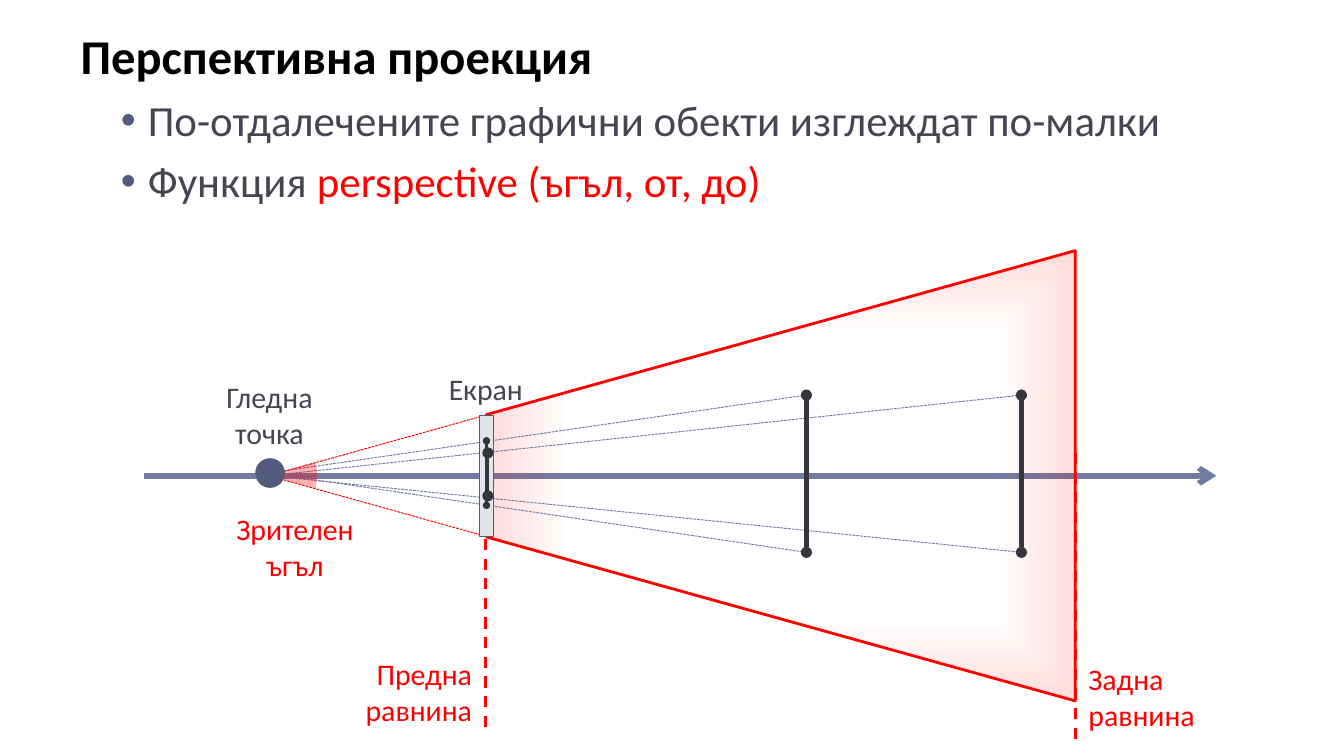
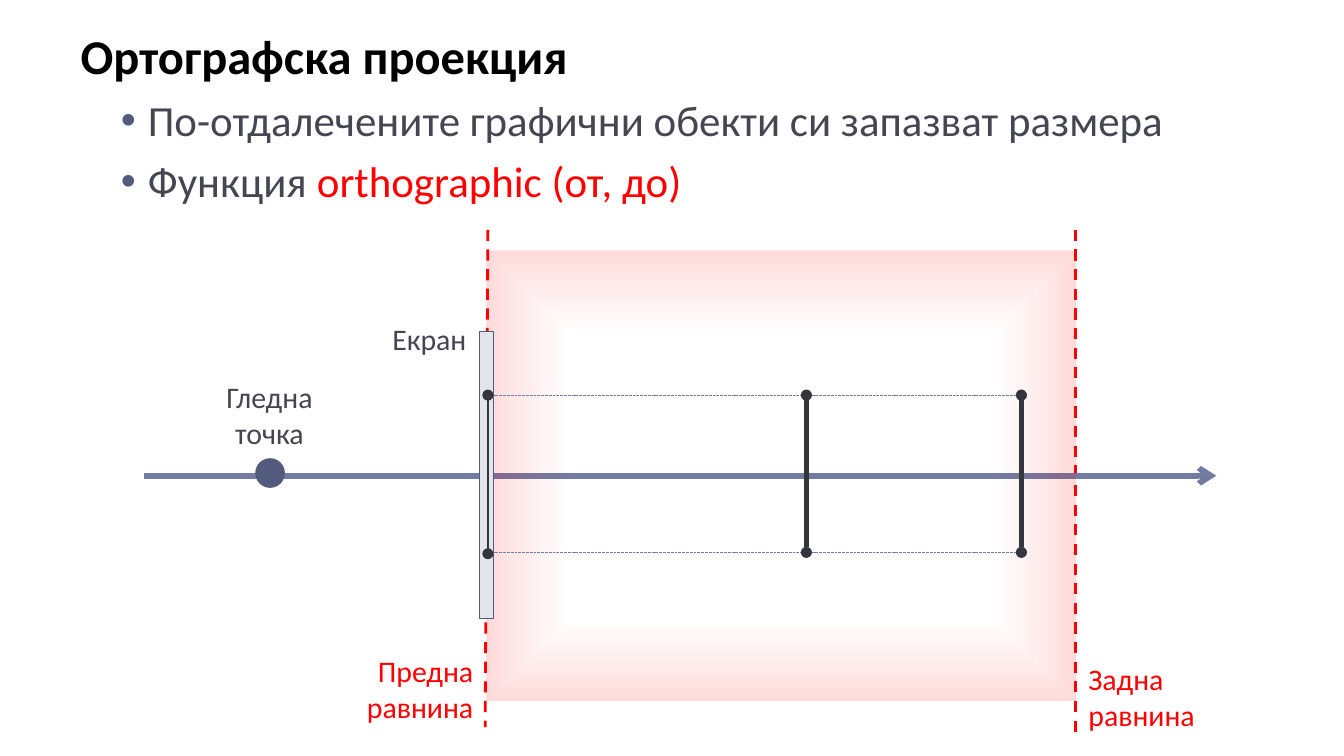
import pptx
import pptx.util
import pptx.dml.color
import pptx.enum.dml
import pptx.enum.shapes
import pptx.enum.text
import pptx.oxml
import pptx.oxml.ns
from dataclasses import dataclass
from lxml import etree

Inches = pptx.util.Inches
Pt = pptx.util.Pt
RGBColor = pptx.dml.color.RGBColor
qn = pptx.oxml.ns.qn
SHAPE = pptx.enum.shapes.MSO_SHAPE
DASH = pptx.enum.dml.MSO_LINE
ALIGN = pptx.enum.text.PP_ALIGN
ANCHOR = pptx.enum.text.MSO_ANCHOR
AUTO_SIZE = pptx.enum.text.MSO_AUTO_SIZE

FONT = "Calibri"
BLACK = RGBColor(0x00, 0x00, 0x00)
RED = RGBColor(0xFF, 0x00, 0x00)
GREY = RGBColor(0x46, 0x46, 0x53)
AXIS_BLUE = RGBColor(0x72, 0x7C, 0xA3)
EYE_BLUE = RGBColor(0x52, 0x5B, 0x7E)
EDGE_BLUE = RGBColor(0x54, 0x5C, 0x79)
SCREEN_FILL = RGBColor(0xE3, 0xE5, 0xED)
DARK = RGBColor(0x35, 0x35, 0x3E)

AXIS_Y = 2
EYE_X = 1
SCREEN_X = 2.63
FRONT_X = 2.61
BACK_X = 7
OBJECT_XS = (5, 6.6)
OBJECT_TOP, OBJECT_BOTTOM = 1.4, 2.57
VOLUME_LENGTH, VOLUME_HEIGHT = 4.38, 3.35
LABEL_WIDTH = 1.39

VOLUME_GRADIENT = f"""<a:gradFill {pptx.oxml.ns.nsdecls("a")} rotWithShape="1"><a:gsLst>
<a:gs pos="65000"><a:srgbClr val="{RED}"><a:alpha val="0"/></a:srgbClr></a:gs>
<a:gs pos="100000"><a:srgbClr val="{RED}"><a:alpha val="14000"/></a:srgbClr></a:gs>
</a:gsLst><a:path path="shape"><a:fillToRect l="50000" t="50000" r="50000" b="50000"/></a:path></a:gradFill>"""


@dataclass
class Box:
    left: float
    top: float
    width: float
    height: float

    def place(self, x, y):
        return Inches(self.left + x), Inches(self.top + y)


HEADING_BOX = Box(0.5, 0.14, 9.33, 0.54)
BULLETS_BOX = Box(0.5, 0.65, 9.33, 1)
SCENE_BOX = Box(1, 1.54, 8.4, 4)


def add_run(p, text, size, color, bold=False):
    r = p.add_run()
    r.text = text
    r.font.name = FONT
    r.font.size = Pt(size)
    r.font.bold = bold
    r.font.color.rgb = color


def fit_placeholder(sp, box):
    sp.left, sp.top = box.place(0, 0)
    sp.width, sp.height = Inches(box.width), Inches(box.height)
    tf = sp.text_frame
    tf.auto_size = AUTO_SIZE.NONE
    tf.vertical_anchor = ANCHOR.TOP
    return tf


def add_bullet_mark(p):
    pPr = p._p.get_or_add_pPr()
    pPr.set("marL", str(Inches(0.5)))
    pPr.set("indent", str(Inches(-0.2)))
    color = etree.SubElement(pPr, qn("a:buClr"))
    etree.SubElement(color, qn("a:srgbClr"), val=str(EYE_BLUE))
    etree.SubElement(pPr, qn("a:buFont"), typeface="Arial")
    etree.SubElement(pPr, qn("a:buChar"), char="•")


def write_heading(s, box, text):
    p = fit_placeholder(s.shapes.title, box).paragraphs[0]
    p.alignment = ALIGN.LEFT
    add_run(p, text, 26, BLACK, True)


def write_bullets(s, box, bullets):
    tf = fit_placeholder(s.placeholders[1], box)
    for i, runs in enumerate(bullets):
        p = tf.add_paragraph() if i else tf.paragraphs[0]
        p.level = 1
        p.space_before = Pt(5)
        add_bullet_mark(p)
        for text, color in runs:
            add_run(p, text, 23, color)


def add_line(s, box, start, end, color, width, dash=None, head=None, tail=None, end_size="med"):
    line = s.shapes.add_connector(
        pptx.enum.shapes.MSO_CONNECTOR.STRAIGHT, *box.place(*start), *box.place(*end))
    line.line.color.rgb = color
    line.line.width = Pt(width)
    if dash:
        line.line.dash_style = dash
    ln = line.line._get_or_add_ln()
    for tag, kind in (("a:headEnd", head), ("a:tailEnd", tail)):
        if kind:
            etree.SubElement(ln, qn(tag), type=kind, w=end_size, len=end_size)
    etree.SubElement(line._element.spPr, qn("a:effectLst"))


def add_ray(s, box, start, end, color=AXIS_BLUE):
    add_line(s, box, start, end, color, 0.5, DASH.SQUARE_DOT)


def add_plane(s, box, start, end):
    add_line(s, box, start, end, RED, 1.5, DASH.DASH)


def add_segment(s, box, x, top, bottom, width, end_size="med"):
    add_line(s, box, (x, top), (x, bottom), DARK, width,
             head="oval", tail="oval", end_size=end_size)


def add_figure(s, box, kind, x, y, width, height, fill, edge=None, edge_width=0):
    sp = s.shapes.add_shape(kind, *box.place(x, y), Inches(width), Inches(height))
    sp.shadow.inherit = False
    if fill is not None:
        sp.fill.solid()
        sp.fill.fore_color.rgb = fill
    if edge is None:
        sp.line.fill.background()
    else:
        sp.line.color.rgb = edge
        sp.line.width = Pt(edge_width)
    return sp


def add_label(s, box, x, y, lines, color=GREY, align=ALIGN.CENTER, height=0.64):
    sp = s.shapes.add_textbox(*box.place(x, y), Inches(LABEL_WIDTH), Inches(height))
    tf = sp.text_frame
    tf.word_wrap = True
    for i, text in enumerate(lines):
        p = tf.add_paragraph() if i else tf.paragraphs[0]
        p.alignment = align
        add_run(p, text, 16, color)


def add_axis(s, box):
    add_line(s, box, (0.07, AXIS_Y), (8.05, AXIS_Y), AXIS_BLUE, 3, tail="arrow")


def add_volume(s, box, taper, edge=None):
    x = BACK_X - (VOLUME_LENGTH + VOLUME_HEIGHT) / 2
    y = AXIS_Y - VOLUME_LENGTH / 2
    sp = add_figure(s, box, SHAPE.TRAPEZOID, x, y, VOLUME_HEIGHT, VOLUME_LENGTH, None, edge, 1.5)
    sp.rotation = 270
    sp.adjustments[0] = taper
    geometry = sp._element.spPr.find(qn("a:prstGeom"))
    geometry.addnext(pptx.oxml.parse_xml(VOLUME_GRADIENT))


def add_objects(s, box):
    for x in OBJECT_XS:
        add_segment(s, box, x, OBJECT_TOP, OBJECT_BOTTOM, 3, "sm")


def add_screen(s, box, top, height):
    add_figure(s, box, SHAPE.RECTANGLE, 2.57, top, 0.1, height, SCREEN_FILL, EDGE_BLUE, 0.5)


def add_view_angle(s, box):
    sp = add_figure(s, box, SHAPE.PIE, 0.63, 1.63, 0.73, 0.73, RED)
    sp.adjustments[0], sp.adjustments[1] = 206.92, 9.45
    color = sp._element.spPr.find(qn("a:solidFill"))[0]
    etree.SubElement(color, qn("a:alpha"), val="30000")


def add_eye(s, box):
    add_figure(s, box, SHAPE.OVAL, 0.91, 1.88, 0.2, 0.2, EYE_BLUE, EDGE_BLUE, 1.5)


def add_shared_labels(s, box, front_x, front_y):
    add_label(s, box, 0.31, 1.23, ["Гледна точка"])
    add_label(s, box, front_x, front_y, ["Предна равнина"], RED, ALIGN.RIGHT)
    add_label(s, box, BACK_X, 3.33, ["Задна", "равнина"], RED, ALIGN.LEFT)


def draw_perspective(s, box):
    add_plane(s, box, (FRONT_X, 1.74), (FRONT_X, 3.87))
    add_plane(s, box, (BACK_X, 1.83), (BACK_X, 3.96))
    add_axis(s, box)
    add_volume(s, box, 0.364, RED)
    eye = (EYE_X, AXIS_Y)
    for side in (-1, 1):
        add_ray(s, box, eye, (BACK_X, AXIS_Y + side * VOLUME_HEIGHT / 2), RED)
    for x, eye_y in zip(OBJECT_XS, (AXIS_Y - 0.02, AXIS_Y)):
        for y in (OBJECT_TOP, OBJECT_BOTTOM):
            add_ray(s, box, (EYE_X, eye_y), (x, y))
    add_objects(s, box)
    add_screen(s, box, 1.55, 0.9)
    add_segment(s, box, SCREEN_X, 1.83, 2.15, 1)
    add_segment(s, box, SCREEN_X - 0.01, 1.74, 2.22, 1.5, "sm")
    add_label(s, box, 1.92, 1.17, ["Екран"], height=0.37)
    add_shared_labels(s, box, 1.22, 3.29)
    add_view_angle(s, box)
    add_eye(s, box)
    add_label(s, box, 0.5, 2.21, ["Зрителен ъгъл"], RED)


def draw_orthographic(s, box):
    add_plane(s, box, (SCREEN_X, 0.17), (FRONT_X, 3.87))
    add_plane(s, box, (BACK_X, 0.17), (BACK_X, 3.96))
    add_axis(s, box)
    add_volume(s, box, 0)
    for y in (OBJECT_BOTTOM, OBJECT_TOP):
        add_ray(s, box, (SCREEN_X, y), (OBJECT_XS[-1], y))
    add_objects(s, box)
    add_screen(s, box, 0.93, 2.13)
    add_segment(s, box, SCREEN_X, OBJECT_TOP, OBJECT_BOTTOM + 0.01, 1)
    add_label(s, box, 1.5, 0.8, ["Екран"], height=0.37)
    add_shared_labels(s, box, 1.23, 3.27)
    add_eye(s, box)


def add_projection_slide(prs, heading, effect, call, draw):
    s = prs.slides.add_slide(prs.slide_layouts[1])
    write_heading(s, HEADING_BOX, heading)
    write_bullets(s, BULLETS_BOX, [[(effect, GREY)], [("Функция ", GREY), (call, RED)]])
    draw(s, SCENE_BOX)


def main():
    prs = pptx.Presentation()
    prs.slide_width = Inches(10)
    prs.slide_height = prs.slide_width * 9 // 16
    add_projection_slide(
        prs, "Перспективна проекция",
        "По-отдалечените графични обекти изглеждат по-малки",
        "perspective (ъгъл, от, до)", draw_perspective)
    add_projection_slide(
        prs, "Ортографска проекция",
        "По-отдалечените графични обекти си запазват размера",
        "orthographic (от, до)", draw_orthographic)
    prs.save("out.pptx")


if __name__ == "__main__":
    main()
